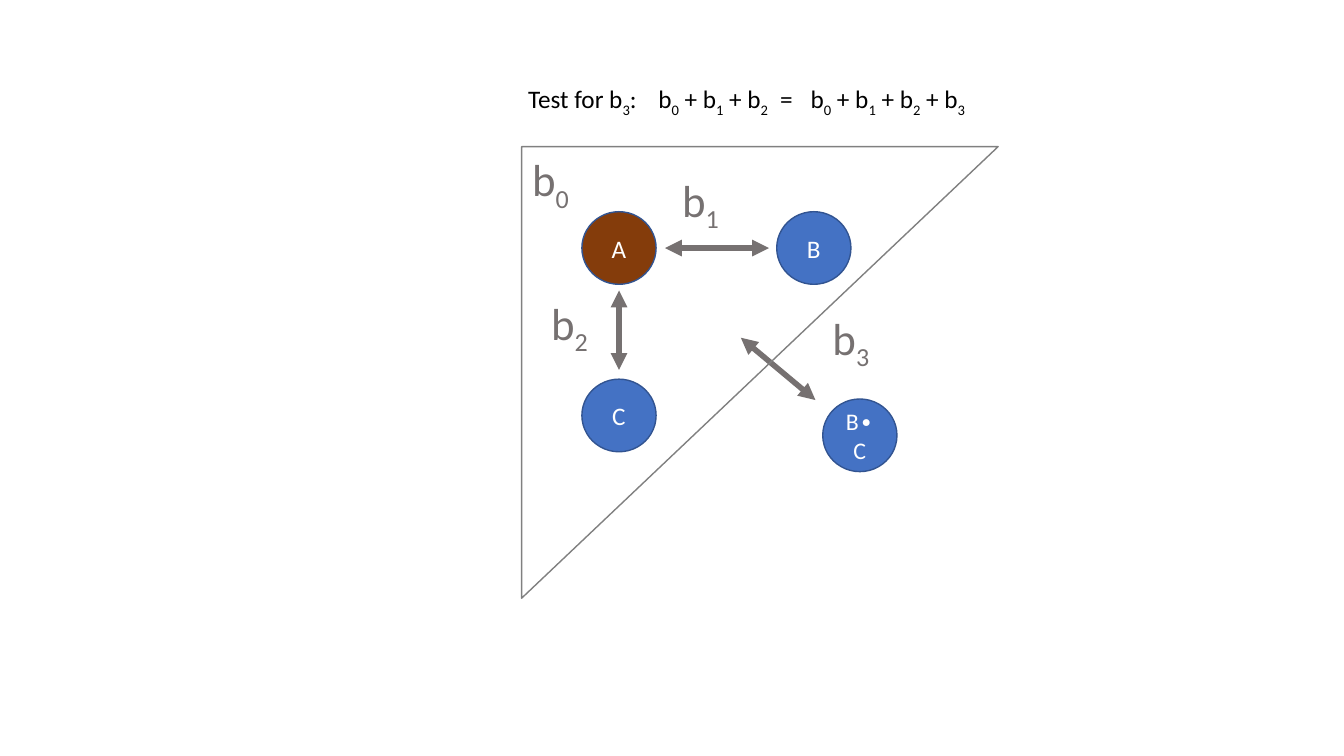
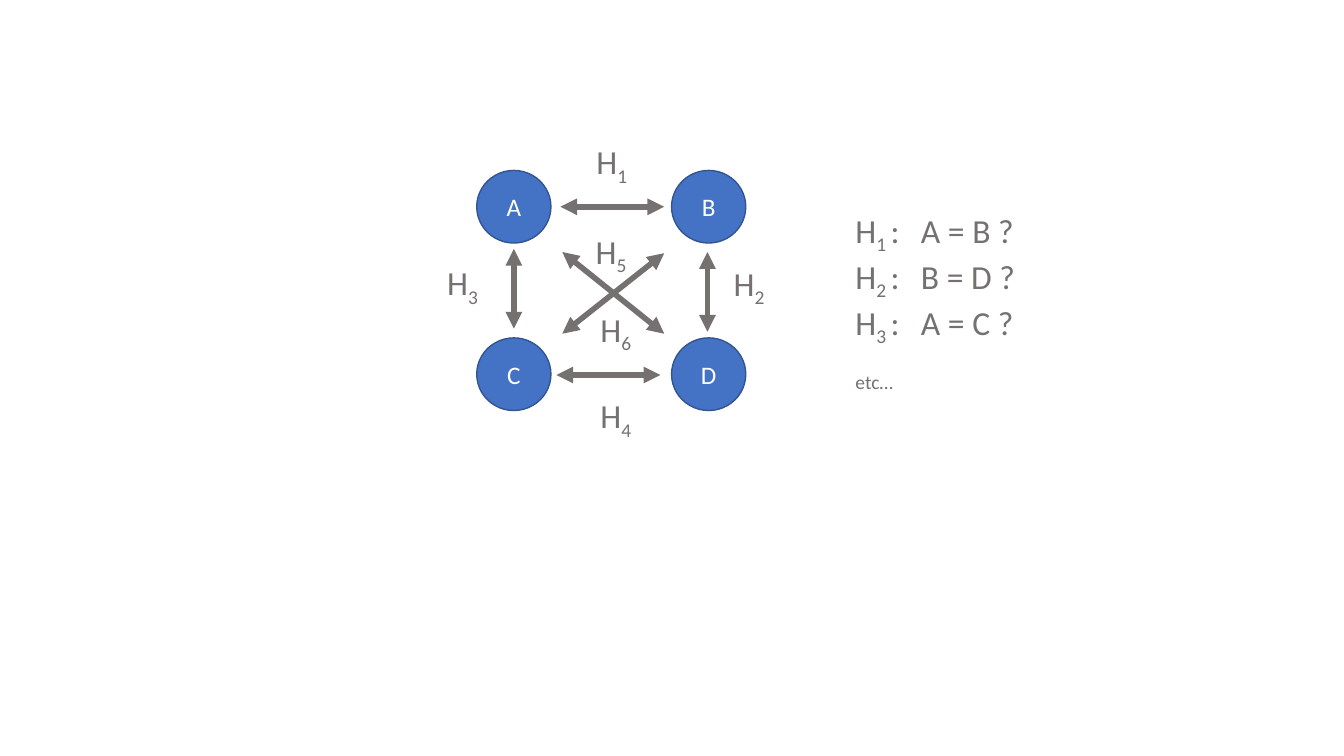
from dataclasses import dataclass

from lxml import etree
from pptx import Presentation
from pptx.dml.color import RGBColor
from pptx.enum.shapes import MSO_CONNECTOR, MSO_SHAPE
from pptx.enum.text import MSO_ANCHOR, MSO_AUTO_SIZE, PP_ALIGN
from pptx.oxml.ns import qn
from pptx.util import Cm, Pt

STRAIGHT = MSO_CONNECTOR.STRAIGHT
CIRCLE, TRIANGLE = MSO_SHAPE.OVAL, MSO_SHAPE.RIGHT_TRIANGLE
MIDDLE, CENTER = MSO_ANCHOR.MIDDLE, PP_ALIGN.CENTER
FIT_TEXT = MSO_AUTO_SIZE.SHAPE_TO_FIT_TEXT


@dataclass(frozen=True)
class Theme:
    """Colours, font, type sizes and line widths shared by the slides."""
    font: str = "Calibri"
    blue: RGBColor = RGBColor.from_string("4472C4")
    brown: RGBColor = RGBColor.from_string("843C0B")
    outline: RGBColor = RGBColor.from_string("325491")
    gray: RGBColor = RGBColor.from_string("767171")
    edge: RGBColor = RGBColor.from_string("808080")
    black: RGBColor = RGBColor.from_string("000000")
    white: RGBColor = RGBColor.from_string("FFFFFF")
    effect_size: int = 32
    test_size: int = 24
    body_size: int = 18
    product_size: int = 17
    thin: int = 1
    thick: int = 4


theme = Theme()


def write_line(paragraph, markup, size, color, stops=()):
    """Write one paragraph; text between bars is subscript, stops are tabs in cm."""
    if stops:
        tabs = etree.SubElement(paragraph._p.get_or_add_pPr(), qn("a:tabLst"))
        for stop in stops:
            etree.SubElement(tabs, qn("a:tab"), pos=str(Cm(stop)), algn="l")
    for index, text in enumerate(markup.split("|")):
        if not text:
            continue
        span = paragraph.add_run()
        span.text = text
        span.font.name = theme.font
        span.font.size = Pt(size)
        span.font.color.rgb = color
        if index % 2:
            span._r.get_or_add_rPr().set("baseline", "-25000")


def write_box(shapes, frame, lines, size, color, stops=()):
    """Add a text box with one paragraph per line."""
    box = shapes.add_textbox(*map(Cm, frame))
    text = box.text_frame
    text.word_wrap = bool(stops)
    text.auto_size = FIT_TEXT
    for index, line in enumerate(lines):
        paragraph = text.add_paragraph() if index else text.paragraphs[0]
        write_line(paragraph, line, size, color, stops)


deck = Presentation()
deck.slide_width, deck.slide_height = Cm(33.87), Cm(19.05)
blank = deck.slide_layouts[6]
interaction_page = deck.slides.add_slide(blank)
pairs_page = deck.slides.add_slide(blank)
pairs_group = pairs_page.shapes.add_group_shape()

# Circles sit on a grid: centre of A, then one step right or down
STEP_X, STEP_Y = 4.91, 4.22
CIRCLE_WIDTH, CIRCLE_HEIGHT = 1.87, 1.83
left, top = 15.6, 6.25
pair_left, pair_top = 12.95, 5.21

diagrams = [
    {
        "shapes": interaction_page.shapes,
        "circles": [
            ("A", left, top, theme.brown, theme.body_size),
            ("B", left + STEP_X, top, theme.blue, theme.body_size),
            ("C", left, top + STEP_Y, theme.blue, theme.body_size),
            ("B∙C", 21.67, 10.97, theme.blue, theme.product_size),
        ],
        "arrows": [
            (16.76, top, 19.38, top),
            (18.67, 8.51, 20.55, 10.08),
            (left, 7.32, left, 9.32),
        ],
        "labels": [("b|0|", 13.16, 3.71), ("b|1|", 16.94, 4.22),
                   ("b|2|", 13.64, 7.32), ("b|3|", 20.73, 7.7)],
        "label_box": (1.5, 1.63),
        "label_size": theme.effect_size,
    },
    {
        "shapes": pairs_group.shapes,
        "circles": [
            (name, pair_left + index % 2 * STEP_X, pair_top + index // 2 * STEP_Y,
             theme.blue, theme.body_size)
            for index, name in enumerate("ABCD")
        ],
        "arrows": [
            (14.12, pair_top, 16.74, pair_top),
            (14.17, 6.35, 16.74, 8.41),
            (pair_left, 6.27, pair_left, 8.28),
            (14.02, 9.45, 16.64, 9.45),
            (17.83, 6.35, 17.83, 8.36),
            (16.74, 6.38, 14.17, 8.41),
        ],
        "labels": [("H|1|", 14.78, 3.43), ("H|2|", 18.24, 6.5), ("H|3|", 11.02, 6.48),
                   ("H|4|", 14.88, 9.83), ("H|5|", 14.76, 5.69), ("H|6|", 14.88, 7.65)],
        "label_box": (1.35, 1.27),
        "label_size": theme.test_size,
    },
]

for diagram in diagrams:
    shapes = diagram["shapes"]
    for name, x, y, fill, size in diagram["circles"]:
        circle = shapes.add_shape(
            CIRCLE, Cm(x - CIRCLE_WIDTH / 2), Cm(y - CIRCLE_HEIGHT / 2),
            Cm(CIRCLE_WIDTH), Cm(CIRCLE_HEIGHT))
        circle.shadow.inherit = False
        circle.fill.solid()
        circle.fill.fore_color.rgb = fill
        circle.line.color.rgb = theme.outline
        circle.line.width = Pt(theme.thin)
        circle.text_frame.vertical_anchor = MIDDLE
        circle.text_frame.word_wrap = True
        paragraph = circle.text_frame.paragraphs[0]
        paragraph.alignment = CENTER
        write_line(paragraph, name, size, theme.white)

    for ends in diagram["arrows"]:
        arrow = shapes.add_connector(STRAIGHT, *map(Cm, ends))
        arrow.line.color.rgb = theme.gray
        arrow.line.width = Pt(theme.thick)
        for end in ("a:headEnd", "a:tailEnd"):
            etree.SubElement(arrow.line._get_or_add_ln(), qn(end), type="triangle")
        etree.SubElement(arrow._element.spPr, qn("a:effectLst"))

    for label, x, y in diagram["labels"]:
        write_box(shapes, (x, y, *diagram["label_box"]), [label],
                  diagram["label_size"], theme.gray)

# Slide 1: triangle around the main effects, and the test
triangle = interaction_page.shapes.add_shape(
    TRIANGLE, Cm(13.46), Cm(3.38), Cm(11.38), Cm(12.01))
triangle.rotation = 90
triangle.shadow.inherit = False
triangle.fill.background()
triangle.line.color.rgb = theme.edge
triangle.line.width = Pt(theme.thin)

write_box(
    interaction_page.shapes, (13.06, 1.98, 11.96, 1.02),
    ["Test for b|3|:\tb|0| + b|1| + b|2|\t=\tb|0| + b|1| + b|2| + b|3|"],
    theme.body_size, theme.black, stops=(3.28, 6.35, 7.12))

# Slide 2: list of hypotheses
write_box(
    pairs_group.shapes, (21.31, 5.16, 4.65, 4.01),
    ["H|1 |:\tA = B ?", "H|2 |:\tB = D ?", "H|3 |:\tA = C ?", "|etc…|"],
    theme.test_size, theme.gray, stops=(1.65,))

deck.save("out.pptx")
